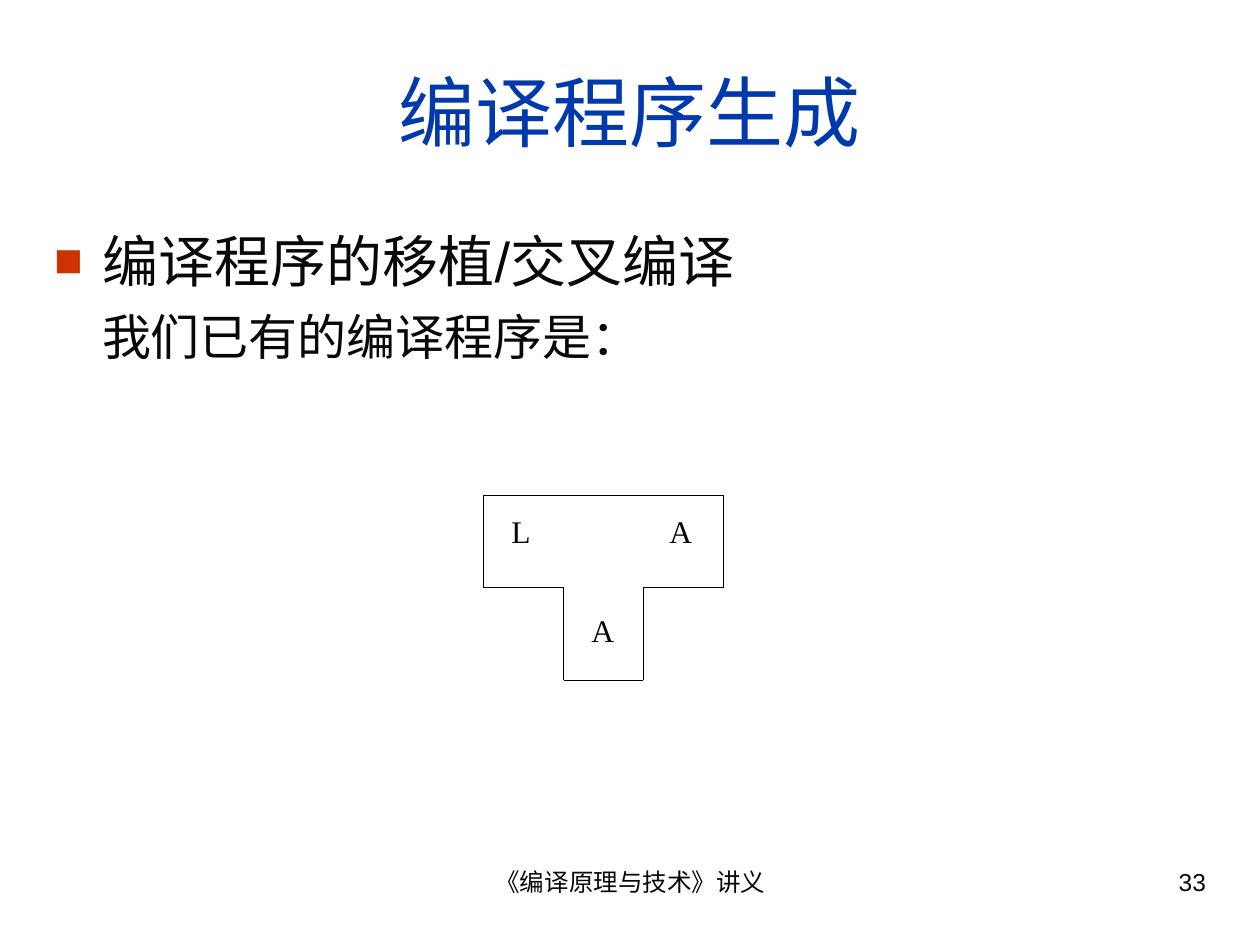
from dataclasses import dataclass
from itertools import pairwise

from lxml.etree import SubElement
from pptx import Presentation
from pptx.dml.color import RGBColor
from pptx.enum.shapes import MSO_CONNECTOR
from pptx.enum.text import MSO_ANCHOR, MSO_AUTO_SIZE, PP_ALIGN
from pptx.oxml.ns import qn
from pptx.util import Inches, Pt


@dataclass(frozen=True)
class Theme:
    sans: str = "Arial"
    serif: str = "Times New Roman"
    title: str = "0039AC"
    text: str = "080808"
    bullet: str = "CC3300"
    line: str = "000000"
    title_size: int = 44
    head_size: int = 32
    body_size: int = 28
    label_size: int = 18
    footer_size: int = 14


T = Theme()
HANG = 0.38


def write(p, text, size, font=T.sans, color=T.text, align=PP_ALIGN.LEFT, before=0):
    p.alignment = align
    p.space_before = Pt(before)
    r = p.add_run()
    r.text = text
    r.font.name = font
    r.font.size = Pt(size)
    r.font.color.rgb = RGBColor.from_string(color)


def place(sp, box):
    sp.left, sp.top, sp.width, sp.height = map(Inches, box)


def set_bullet(p, char=None):
    """Indent the paragraph and mark it with char, or with nothing."""
    pPr = p._p.get_or_add_pPr()
    pPr.set("marL", str(Inches(HANG)))
    pPr.set("indent", str(-Inches(HANG) if char else 0))
    if char is None:
        SubElement(pPr, qn("a:buNone"))
        return
    SubElement(SubElement(pPr, qn("a:buClr")), qn("a:srgbClr"), val=T.bullet)
    SubElement(pPr, qn("a:buSzPct"), val="85000")
    SubElement(pPr, qn("a:buFont"), typeface=T.sans)
    SubElement(pPr, qn("a:buChar"), char=char)


def add_text(shapes, box, text, size, inset=(0.1, 0.05), **fmt):
    tf = shapes.add_textbox(*map(Inches, box)).text_frame
    tf.word_wrap = True
    tf.margin_left = tf.margin_right = Inches(inset[0])
    tf.margin_top = tf.margin_bottom = Inches(inset[1])
    write(tf.paragraphs[0], text, size, **fmt)
    return tf.paragraphs[0]


def add_title(s, box, text):
    sp = s.shapes.title
    place(sp, box)
    tf = sp.text_frame
    tf.auto_size = MSO_AUTO_SIZE.NONE
    tf.vertical_anchor = MSO_ANCHOR.MIDDLE
    write(tf.paragraphs[0], text, T.title_size, color=T.title, align=PP_ALIGN.CENTER)


def add_body(s, box, head, detail):
    sp = s.placeholders[1]
    place(sp, box)
    tf = sp.text_frame
    tf.auto_size = MSO_AUTO_SIZE.NONE
    p = tf.paragraphs[0]
    write(p, head, T.head_size, before=8)
    set_bullet(p, "■")
    p = tf.add_paragraph()
    write(p, detail, T.body_size, before=7)
    set_bullet(p)


def add_t_diagram(s, box, source, target, host):
    """T-diagram on a grid of three columns and two rows."""
    x, y, w, h = box
    col, row = w / 3, h / 2
    shapes = s.shapes.add_group_shape().shapes
    corners = [(0, 0), (0, 1), (1, 1), (1, 2), (2, 2), (2, 1), (3, 1), (3, 0), (0, 0)]
    points = [(Inches(x + c * col), Inches(y + r * row)) for c, r in corners]
    for start, end in pairwise(points):
        line = shapes.add_connector(MSO_CONNECTOR.STRAIGHT, *start, *end)
        line.line.color.rgb = RGBColor.from_string(T.line)
        line.line.width = Pt(0.75)
        SubElement(line._element.spPr, qn("a:effectLst"))

    label_h = row * 2 / 3
    p = add_text(shapes, (x + col * 0.19, y + row * 0.18, col * 2.67, label_h),
                 f"{source}\t{target}", T.label_size, inset=(0.1, 0), font=T.serif)
    tabs = SubElement(p._p.get_or_add_pPr(), qn("a:tabLst"))
    SubElement(tabs, qn("a:tab"), pos=str(Inches(col * 1.98)), algn="l")
    add_text(shapes, (x + col * 1.16, y + row * 1.25, col * 0.66, label_h), host,
             T.label_size, inset=(0, 0), font=T.serif, align=PP_ALIGN.CENTER)


def add_footer(s, top, height, text, number):
    add_text(s.shapes, (3.42, top, 3.17, height), text, T.footer_size,
             align=PP_ALIGN.CENTER)
    add_text(s.shapes, (7.17, top, 2.5, height), number, T.footer_size,
             align=PP_ALIGN.RIGHT)


def main():
    prs = Presentation()
    prs.slide_width, prs.slide_height = Inches(10), Inches(7.5)
    s = prs.slides.add_slide(prs.slide_layouts[1])
    add_title(s, (0.33, 0.25, 9.34, 1.25), "编译程序生成")
    add_body(s, (0.33, 1.75, 9.34, 1.33), "编译程序的移植/交叉编译", "我们已有的编译程序是：")
    add_t_diagram(s, (3.84, 3.93, 1.9, 1.47), "L", "A", "A")
    add_footer(s, 6.83, 0.52, "《编译原理与技术》讲义", "33")
    prs.save("out.pptx")


if __name__ == "__main__":
    main()
